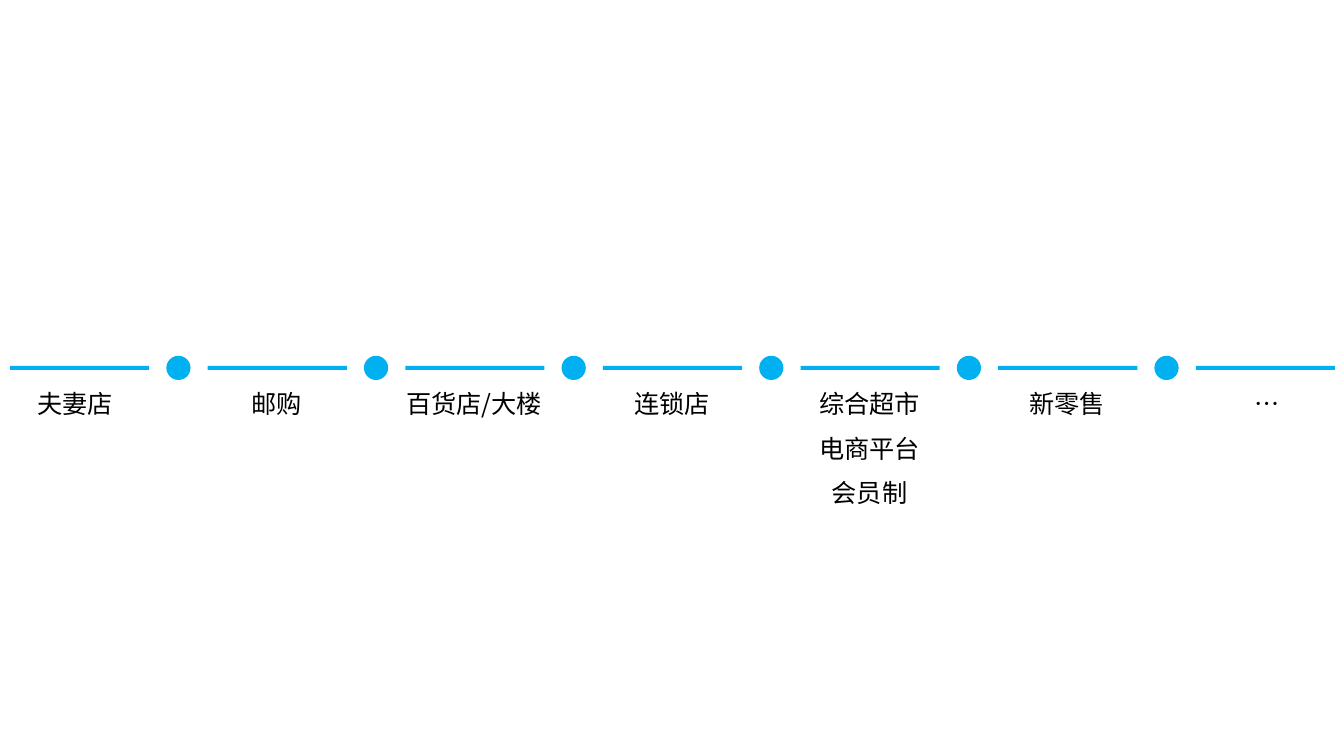
"""Build a one-slide timeline of retail formats."""
from dataclasses import dataclass

from lxml import etree
from pptx import Presentation
from pptx import util as u
from pptx.dml.color import RGBColor
from pptx.enum import lang, shapes, text
from pptx.oxml.ns import qn


@dataclass(frozen=True)
class Theme:
    """Colours and type of the slide."""
    accent: RGBColor = RGBColor(0x00, 0xB0, 0xF0)
    ink: RGBColor = RGBColor(0x00, 0x00, 0x00)
    face: str = "Noto Sans CJK SC"
    size: int = 18


@dataclass(frozen=True)
class Grid:
    """Measures of the timeline, in inches."""
    left: float = 0.1
    column: float = 1.96
    bar_width: float = 1.38
    bar_height: float = 0.04
    dot: float = 0.24
    dot_offset: float = 1.55
    axis: float = 3.65
    label_top: float = 3.85
    row: float = 0.445
    label_height: float = 0.3
    glyph: float = 0.25

    def start(self, column: int) -> float:
        """Return the left edge of a column."""
        return self.left + column * self.column


@dataclass(frozen=True)
class Stage:
    """One stretch of the timeline and the labels under it."""
    labels: tuple[str, ...]
    shift: float = 0
    wraps: bool = False


THEME = Theme()
GRID = Grid()
STAGES = (
    Stage(("夫妻店",), shift=-0.04),
    Stage(("邮购",)),
    Stage(("百货店/大楼",), shift=0.02, wraps=True),
    Stage(("连锁店",)),
    Stage(("综合超市", "电商平台", "会员制")),
    Stage(("新零售",)),
    Stage(("…",), shift=0.02),
)


def add_mark(page, kind: shapes.MSO_SHAPE, left: float, width: float, height: float) -> None:
    """Draw a filled mark centred on the axis."""
    mark = page.shapes.add_shape(
        kind, u.Inches(left), u.Inches(GRID.axis - height / 2), u.Inches(width), u.Inches(height))
    mark.shadow.inherit = False
    mark.fill.solid()
    mark.fill.fore_color.rgb = THEME.accent
    mark.line.fill.background()


def add_label(page, words: str, middle: float, row: int, wraps: bool) -> None:
    """Write one label centred below its bar."""
    width = 1.4 if wraps else len(words) * GRID.glyph + 0.01
    box = page.shapes.add_textbox(
        u.Inches(middle - width / 2), u.Inches(GRID.label_top + row * GRID.row),
        u.Inches(width), u.Inches(GRID.label_height))
    frame = box.text_frame
    frame.margin_left = frame.margin_right = frame.margin_top = frame.margin_bottom = 0
    frame.word_wrap = wraps
    frame.auto_size = text.MSO_AUTO_SIZE.SHAPE_TO_FIT_TEXT
    frame.text = words
    span = frame.paragraphs[0].runs[0]
    span.font.size = u.Pt(THEME.size)
    span.font.name = THEME.face
    span.font.color.rgb = THEME.ink
    span.font.language_id = lang.MSO_LANGUAGE_ID.SIMPLIFIED_CHINESE
    etree.SubElement(span.font._element, qn("a:ea"), typeface=THEME.face)


def add_stage(page, column: int, stage: Stage) -> None:
    """Draw the bar, the dot after it and the labels of a stage."""
    left = GRID.start(column)
    add_mark(page, shapes.MSO_SHAPE.RECTANGLE, left, GRID.bar_width, GRID.bar_height)
    if column < len(STAGES) - 1:
        add_mark(page, shapes.MSO_SHAPE.OVAL, left + GRID.dot_offset, GRID.dot, GRID.dot)
    middle = left + GRID.bar_width / 2 + stage.shift
    for row, words in enumerate(stage.labels):
        add_label(page, words, middle, row, stage.wraps)


def main() -> None:
    """Build and save the deck."""
    deck = Presentation()
    deck.slide_width, deck.slide_height = u.Inches(13.33), u.Inches(7.5)
    page = deck.slides.add_slide(deck.slide_layouts.get_by_name("Blank"))
    for column, stage in enumerate(STAGES):
        add_stage(page, column, stage)
    deck.save("out.pptx")


if __name__ == "__main__":
    main()
